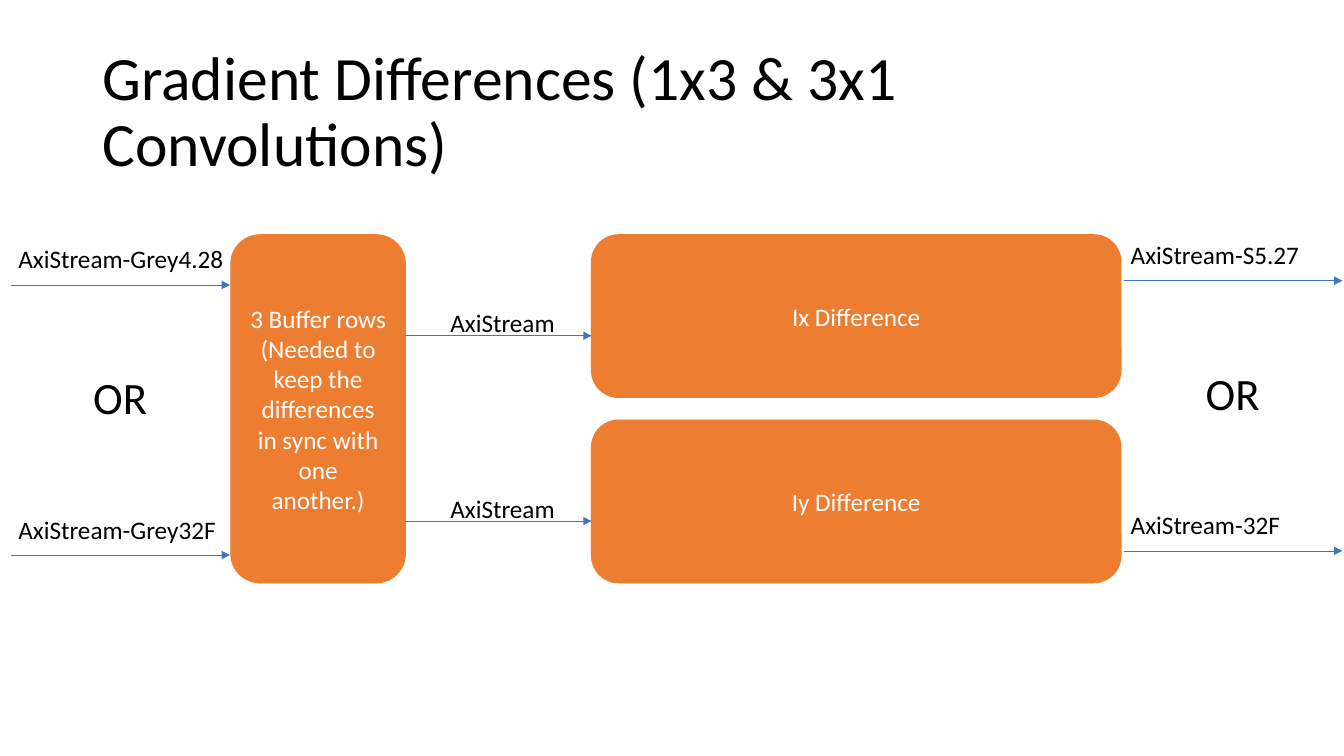
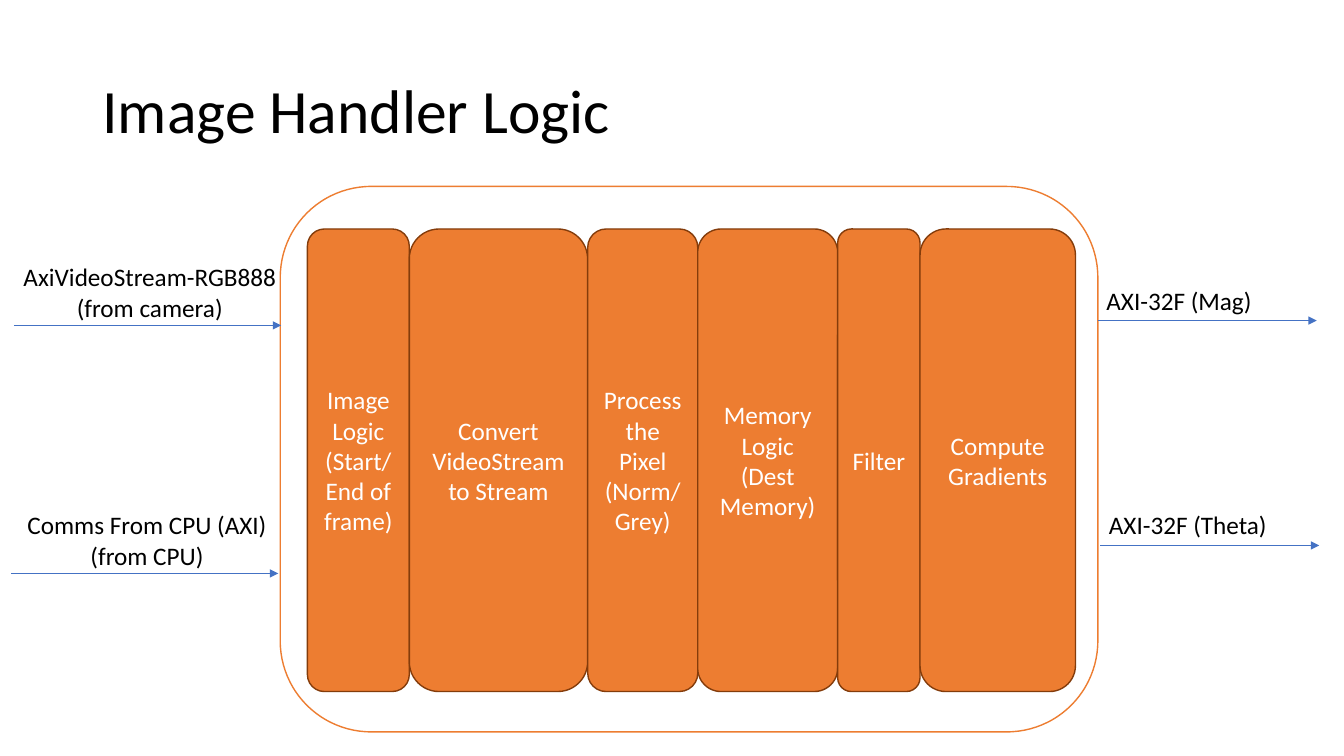
from lxml.etree import SubElement
from pptx import Presentation
from pptx.dml.color import RGBColor
from pptx.enum.shapes import MSO_CONNECTOR, MSO_SHAPE
from pptx.enum.text import MSO_ANCHOR, MSO_AUTO_SIZE, PP_ALIGN
from pptx.oxml.ns import qn
from pptx.util import Pt

COLORS = {name: RGBColor.from_string(value) for name, value in {
    "black": "000000", "white": "FFFFFF", "orange": "ED7D31",
    "brown": "843C0B", "blue": "4472C4"}.items()}
FONT = "Calibri"


def add_text(s, text, x, y, w, h, fill=None, line=None, size=18, align=PP_ALIGN.LEFT):
    """Add a plain label, or a rounded block with centred text if fill is given."""
    box = [Pt(v) for v in (x, y, w, h)]
    if fill:
        sp = s.shapes.add_shape(MSO_SHAPE.ROUNDED_RECTANGLE, *box)
        sp.shadow.inherit = False
        sp.fill.solid()
        sp.fill.fore_color.rgb = COLORS[fill]
        sp.line.color.rgb = COLORS[line]
        sp.line.width = Pt(1)
        align = PP_ALIGN.CENTER
    else:
        sp = s.shapes.add_textbox(*box)
    tf = sp.text_frame
    tf.word_wrap = True
    tf.vertical_anchor = MSO_ANCHOR.MIDDLE if fill else MSO_ANCHOR.TOP
    tf.text = text
    for p in tf.paragraphs:
        p.alignment = align
        p.font.name = FONT
        p.font.size = Pt(size)
        p.font.color.rgb = COLORS["white" if fill else "black"]


def add_arrow(s, x, y, length):
    c = s.shapes.add_connector(MSO_CONNECTOR.STRAIGHT, Pt(x), Pt(y), Pt(x + length), Pt(y))
    c.line.color.rgb = COLORS["blue"]
    c.line.width = Pt(0.5)
    SubElement(c.line._get_or_add_ln(), qn("a:tailEnd"), type="triangle")
    SubElement(c._element.spPr, qn("a:effectLst"))


prs = Presentation()
prs.slide_width, prs.slide_height = Pt(960), Pt(540)

slides = []
for title, width in [("Gradient Differences (1x3 & 3x1 Convolutions)", 834),
                     ("Image Handler Logic", 828)]:
    s = prs.slides.add_slide(prs.slide_layouts[5])
    sp = s.shapes.title
    sp.left, sp.top, sp.width, sp.height = Pt(66), Pt(28.8), Pt(width), Pt(104.4)
    tf = sp.text_frame
    tf.text = title
    tf.word_wrap = True
    tf.auto_size = MSO_AUTO_SIZE.NONE
    tf.vertical_anchor = MSO_ANCHOR.MIDDLE
    p = tf.paragraphs[0]
    p.alignment = PP_ALIGN.LEFT
    p.line_spacing = 0.9
    p.font.name = FONT
    p.font.size = Pt(44)
    p.font.color.rgb = COLORS["black"]
    slides.append(s)
gradients, handler = slides

# Gradient differences: buffer feeding two difference blocks
top, row_step = 167.8, 132.4
add_text(gradients, "3 Buffer rows\n(Needed to keep the differences in sync with one another.)",
         165, top, 124.5, 248.4, "orange", "orange")
for i, name in enumerate(["Ix Difference", "Iy Difference"]):
    y = top + i * row_step
    add_text(gradients, name, 422.6, y, 378, 116, "orange", "orange")
    add_arrow(gradients, 289.5, y + 72, 133.1)
    add_text(gradients, "AxiStream", 314.6, y + 48.5, 92, 29)

for x, arrow_y, names in [(6, 203.5, ["AxiStream-Grey4.28", "AxiStream-Grey32F"]),
                          (800.6, 200.5, ["AxiStream-S5.27", "AxiStream-32F"])]:
    for i, name in enumerate(names):
        y = arrow_y + i * 193
        add_arrow(gradients, x + 2, y, 156.3)
        add_text(gradients, name, x, y - 33, 192, 29)
    add_text(gradients, "OR", x + 53.5, arrow_y + 57, 56, 46, size=32)

# Image handler: pipeline stages side by side in one frame
add_text(handler, "", 200.2, 133.2, 584, 389.6, "white", "orange")
x = 219.6
for name, width in [("Image Logic (Start/End of frame)", 72.8),
                    ("Convert VideoStream to Stream", 127.4),
                    ("Process the Pixel (Norm/Grey)", 78.6),
                    ("Memory Logic (Dest Memory)", 100),
                    ("Filter", 58.8),
                    ("Compute Gradients", 111)]:
    add_text(handler, name, x, 163.6, width, 330.4, "orange", "brown")
    x += width

for name, x, y in [("AxiVideoStream-RGB888\n(from camera)", 10, 232.4),
                   ("Comms From CPU (AXI)\n(from CPU)", 8, 409.6)]:
    add_arrow(handler, x, y, 190.8)
    add_text(handler, name, x - 2, y - 49, 198, 51, align=PP_ALIGN.CENTER)
for name, x, y in [("AXI-32F (Mag)", 784.2, 229), ("AXI-32F (Theta)", 786, 389.6)]:
    add_arrow(handler, x, y, 156.3)
    add_text(handler, name, x - 1, y - 29, 172, 29)

prs.save("out.pptx")
